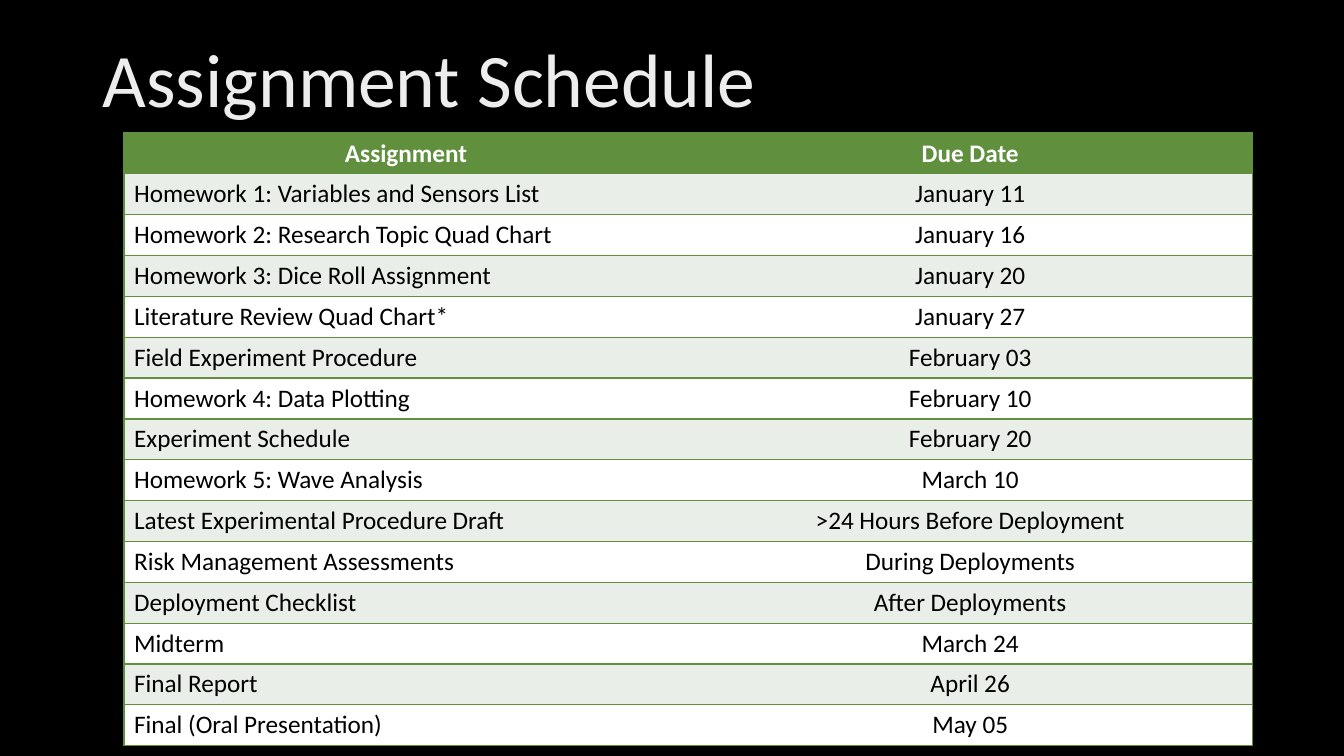
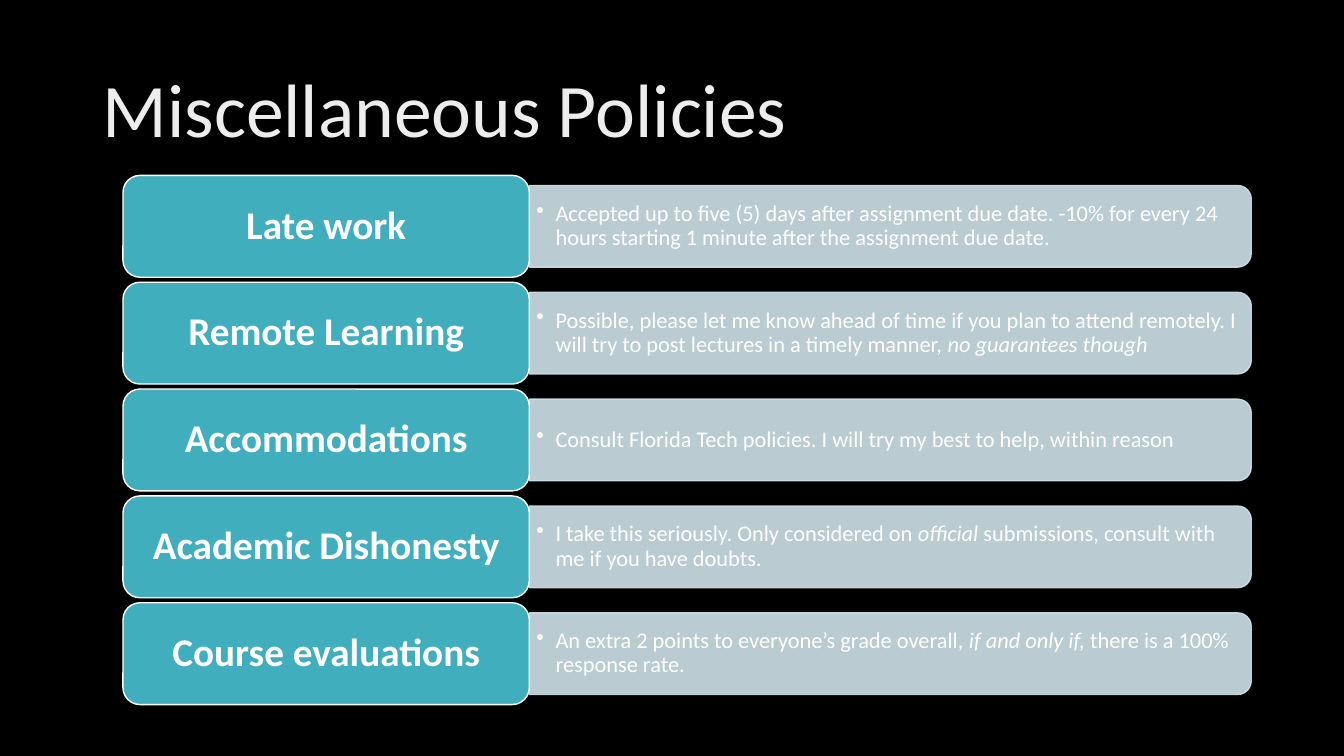
"""Build the assignment schedule and course policy slides."""
from dataclasses import dataclass
from typing import NamedTuple

import pptx
import pptx.dml.color
import pptx.enum.shapes
import pptx.enum.text
import pptx.oxml
import pptx.oxml.ns
import pptx.presentation
import pptx.shapes.autoshape
import pptx.slide
import pptx.table
import pptx.text.text
import pptx.util

Inches = pptx.util.Inches
Pt = pptx.util.Pt
RGBColor = pptx.dml.color.RGBColor
Align = pptx.enum.text.PP_ALIGN
Anchor = pptx.enum.text.MSO_ANCHOR
Shape = pptx.enum.shapes.MSO_SHAPE

FONT = "Calibri"
BLACK = RGBColor(0x00, 0x00, 0x00)
WHITE = RGBColor(0xFF, 0xFF, 0xFF)
SILVER = RGBColor(0xED, 0xED, 0xED)
GREEN = RGBColor(0x60, 0x8F, 0x3D)
SAGE = RGBColor(0xEA, 0xEE, 0xE8)
TEAL = RGBColor(0x41, 0xAE, 0xBD)
MIST = RGBColor(0xCF, 0xE3, 0xE8)
DRAWING = pptx.oxml.ns.nsdecls("a")


class Span(NamedTuple):
    text: str
    slant: bool = False


class Task(NamedTuple):
    name: str
    due: str


class Rule(NamedTuple):
    name: str
    spans: tuple[Span, ...]


@dataclass(frozen=True)
class Style:
    size: float
    color: RGBColor
    bold: bool = False
    align: Align = Align.LEFT
    bullet: bool = False
    spacing: float = 0.9


@dataclass(frozen=True)
class Box:
    left: float
    top: float
    width: float
    height: float

    def lengths(self) -> tuple[int, ...]:
        """Give left, top, width and height as lengths."""
        return tuple(Inches(n) for n in (self.left, self.top, self.width, self.height))

    def turned(self) -> "Box":
        """Give the frame that fills this box after a quarter turn."""
        shift = (self.width - self.height) / 2
        return Box(self.left + shift, self.top - shift, self.height, self.width)


TITLE = Style(54, SILVER)
HEAD = Style(18, WHITE, bold=True, align=Align.CENTER, spacing=1)
NAME = Style(18, BLACK, spacing=1)
DATE = Style(18, BLACK, align=Align.CENTER, spacing=1)
LABEL = Style(28, WHITE, bold=True, align=Align.CENTER)
DETAIL = Style(16, WHITE, bullet=True)

GRID = Box(1.23, 1.32, 11.19, 6.08)
FIRST_TOP = 1.74
PITCH = 1.06

TASKS = (
    Task("Assignment", "Due Date"),
    Task("Homework 1: Variables and Sensors List", "January 11"),
    Task("Homework 2: Research Topic Quad Chart", "January 16"),
    Task("Homework 3: Dice Roll Assignment", "January 20"),
    Task("Literature Review Quad Chart*", "January 27"),
    Task("Field Experiment Procedure", "February 03"),
    Task("Homework 4: Data Plotting", "February 10"),
    Task("Experiment Schedule", "February 20"),
    Task("Homework 5: Wave Analysis", "March 10"),
    Task("Latest Experimental Procedure Draft", ">24 Hours Before Deployment"),
    Task("Risk Management Assessments", "During Deployments"),
    Task("Deployment Checklist", "After Deployments"),
    Task("Midterm", "March 24"),
    Task("Final Report", "April 26"),
    Task("Final (Oral Presentation)", "May 05"),
)

RULES = (
    Rule("Late work", (
        Span("Accepted up to five (5) days after assignment due date. "
             "-10% for every 24 hours starting 1 minute after the assignment due date."),
    )),
    Rule("Remote Learning", (
        Span("Possible, please let me know ahead of time if you plan to attend remotely. "
             "I will try to post lectures in a timely manner, "),
        Span("no guarantees though", slant=True),
    )),
    Rule("Accommodations", (
        Span("Consult Florida Tech policies. I will try my best to help, within reason"),
    )),
    Rule("Academic Dishonesty", (
        Span("I take this seriously. Only considered on "),
        Span("official", slant=True),
        Span(" submissions, consult with me if you have doubts."),
    )),
    Rule("Course evaluations", (
        Span("An extra 2 points to everyone’s grade overall, "),
        Span("if and only if, ", slant=True),
        Span("there is a 100% response rate."),
    )),
)


def write(frame: pptx.text.text.TextFrame, spans: tuple[Span, ...], style: Style) -> None:
    """Write the spans into the first paragraph of a frame."""
    frame.word_wrap = True
    para = frame.paragraphs[0]
    para.alignment = style.align
    para.line_spacing = style.spacing
    if style.bullet:
        props = para._p.get_or_add_pPr()
        props.set("marL", str(Inches(0.19)))
        props.set("indent", str(-Inches(0.19)))
        props.append(pptx.oxml.parse_xml(f'<a:buChar {DRAWING} char="•"/>'))
    for span in spans:
        run = para.add_run()
        run.text = span.text
        font = run.font
        font.name = FONT
        font.size = Pt(style.size)
        font.bold = style.bold
        font.italic = span.slant
        font.color.rgb = style.color


def inset(frame: pptx.text.text.TextFrame, side: float, end: float) -> None:
    """Set the margins of a frame and centre its text in height."""
    frame.margin_left = frame.margin_right = Inches(side)
    frame.margin_top = frame.margin_bottom = Inches(end)
    frame.vertical_anchor = Anchor.MIDDLE


def add_text(slide: pptx.slide.Slide, box: Box, spans: tuple[Span, ...], style: Style,
             side: float = 0.1, end: float = 0.05) -> None:
    """Add a text box."""
    frame = slide.shapes.add_textbox(*box.lengths()).text_frame
    inset(frame, side, end)
    write(frame, spans, style)


def add_block(slide: pptx.slide.Slide, kind: Shape, box: Box, fill: RGBColor,
              line: RGBColor) -> pptx.shapes.autoshape.Shape:
    """Add a filled, outlined shape with no shadow."""
    block = slide.shapes.add_shape(kind, *box.lengths())
    block.shadow.inherit = False
    block.fill.solid()
    block.fill.fore_color.rgb = fill
    block.line.color.rgb = line
    block.line.width = Pt(1)
    return block


def add_slide(deck: pptx.presentation.Presentation, title: str, top: float) -> pptx.slide.Slide:
    """Add a black slide with a title."""
    slide = deck.slides.add_slide(deck.slide_layouts[6])
    slide.background.fill.solid()
    slide.background.fill.fore_color.rgb = BLACK
    add_text(slide, Box(0.92, top, 11.5, 1.45), (Span(title),), TITLE)
    return slide


def edge(cell: pptx.table._Cell, hidden: str) -> None:
    """Draw the borders of a cell, leaving one side out."""
    props = cell._tc.get_or_add_tcPr()
    for side in ("lnL", "lnR", "lnT", "lnB"):
        paint = f'<a:solidFill><a:srgbClr val="{GREEN}"/></a:solidFill>'
        if side == hidden:
            paint = "<a:noFill/>"
        props.append(pptx.oxml.parse_xml(
            f'<a:{side} {DRAWING} w="{Pt(1)}">{paint}</a:{side}>'))


def add_grid(slide: pptx.slide.Slide) -> None:
    """Add the table of tasks and due dates."""
    table = slide.shapes.add_table(len(TASKS), 2, *GRID.lengths()).table
    table.first_row = table.horz_banding = False
    for row, task in enumerate(TASKS):
        fill = GREEN if row == 0 else SAGE if row % 2 else WHITE
        styles = (HEAD, HEAD) if row == 0 else (NAME, DATE)
        for col, (text, style) in enumerate(zip(task, styles)):
            cell = table.cell(row, col)
            edge(cell, "lnL" if col else "lnR")
            cell.fill.solid()
            cell.fill.fore_color.rgb = fill
            write(cell.text_frame, (Span(text),), style)


def add_rule(slide: pptx.slide.Slide, rule: Rule, top: float) -> None:
    """Add a label with its detail panel."""
    panel = add_block(slide, Shape.ROUND_2_SAME_RECTANGLE,
                      Box(5.25, top + 0.1, 7.16, 0.81).turned(), MIST, MIST)
    panel.rotation = 90
    for color in panel._element.spPr.iter(pptx.oxml.ns.qn("a:srgbClr")):
        color.append(pptx.oxml.parse_xml(f'<a:alpha {DRAWING} val="90000"/>'))
    add_text(slide, Box(5.25, top + 0.14, 7.12, 0.73), rule.spans, DETAIL, 0.07, 0.03)
    label = add_block(slide, Shape.ROUNDED_RECTANGLE, Box(1.22, top, 4.03, 1.01), TEAL, WHITE)
    inset(label.text_frame, 0.12, 0.06)
    write(label.text_frame, (Span(rule.name),), LABEL)


def main() -> None:
    """Build and save the deck."""
    deck = pptx.Presentation()
    deck.slide_width, deck.slide_height = Inches(13.33), Inches(7.5)
    add_grid(add_slide(deck, "Assignment Schedule", 0.1))
    slide = add_slide(deck, "Miscellaneous Policies", 0.4)
    for place, rule in enumerate(RULES):
        add_rule(slide, rule, FIRST_TOP + place * PITCH)
    deck.save("out.pptx")


if __name__ == "__main__":
    main()
